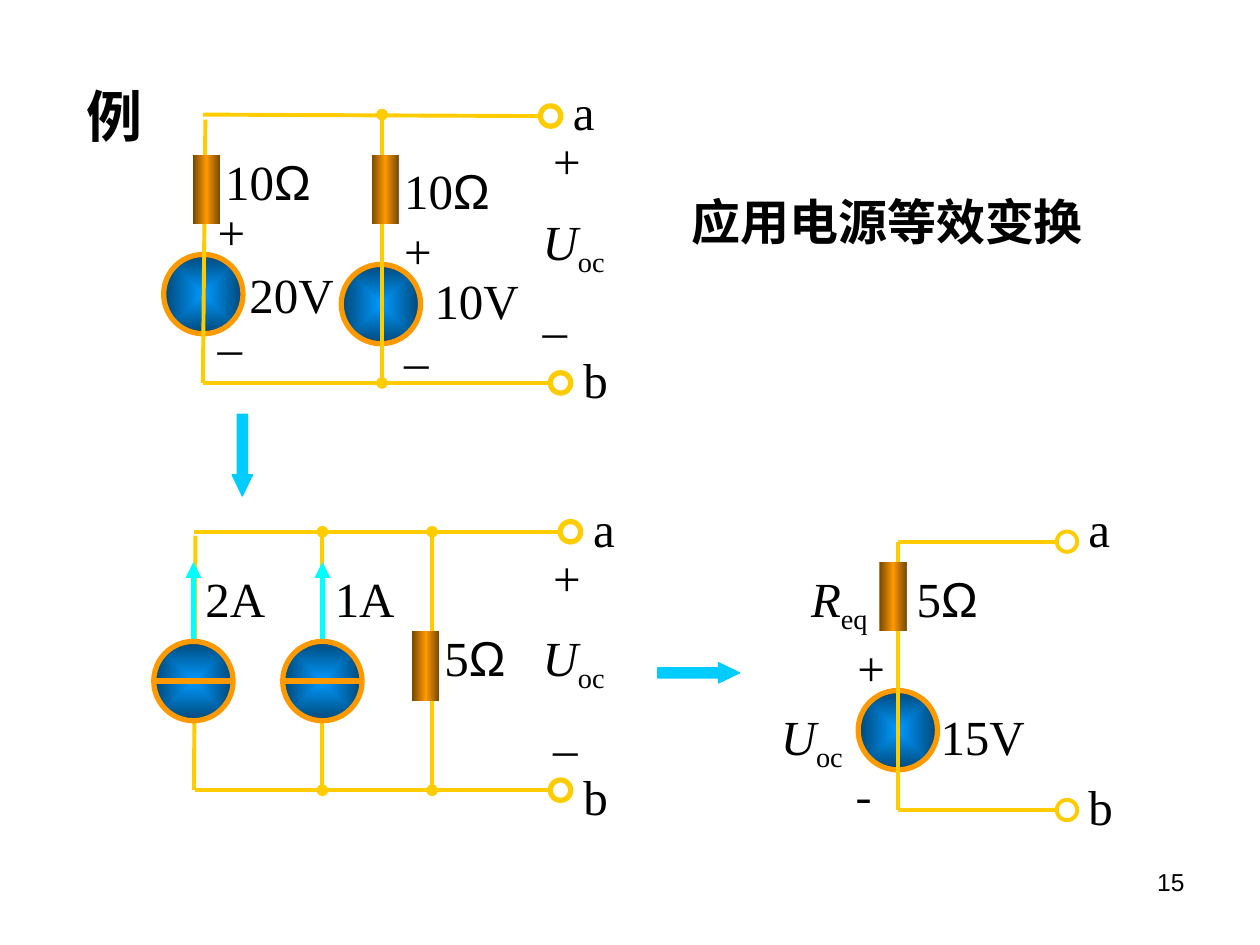
from lxml import etree
from pptx import Presentation
from pptx.dml.color import RGBColor
from pptx.enum.shapes import MSO_CONNECTOR, MSO_SHAPE
from pptx.enum.text import MSO_ANCHOR, MSO_AUTO_SIZE, PP_ALIGN
from pptx.oxml import parse_xml
from pptx.oxml.ns import qn
from pptx.util import Cm, Pt

STRAIGHT = MSO_CONNECTOR.STRAIGHT
OVAL, RECT, ARROW = MSO_SHAPE.OVAL, MSO_SHAPE.RECTANGLE, MSO_SHAPE.RIGHT_ARROW
LEFT, CENTER, RIGHT = PP_ALIGN.LEFT, PP_ALIGN.CENTER, PP_ALIGN.RIGHT
TOP, MIDDLE = MSO_ANCHOR.TOP, MSO_ANCHOR.MIDDLE
GROW, FIXED = MSO_AUTO_SIZE.SHAPE_TO_FIT_TEXT, MSO_AUTO_SIZE.NONE

BLACK = RGBColor(0x00, 0x00, 0x00)
WIRE = RGBColor(0xFF, 0xCC, 0x00)
ORANGE = RGBColor(0xFF, 0x99, 0x00)
BROWN = RGBColor(0x76, 0x47, 0x00)
BLUE = RGBColor(0x00, 0x99, 0xFF)
NAVY = RGBColor(0x00, 0x47, 0x76)
CYAN = RGBColor(0x00, 0xFF, 0xFF)
SKY = RGBColor(0x00, 0xCC, 0xFF)
SERIF, SANS, CJK = "Times New Roman", "Arial", "Noto Sans CJK SC"

SOURCE, TERMINAL = 1.6, 0.41            # diameters
RESISTOR_W, RESISTOR_H = 0.55, 1.4
ARROW_W, ARROW_H = 1.65, 0.41
LINEAR = '<a:lin ang="0" scaled="1"/>'
RADIAL = ('<a:path path="rect"><a:fillToRect l="50000" t="50000" '
          'r="50000" b="50000"/></a:path>')

# Circuits in cm. Sources and terminals by centre, resistors by left and top,
# wires as x1, y1, x2, y2; labels as text, left, top, width
# ("_" starts a subscript).
CIRCUITS = [
    {   # two voltage sources
        "voltage": [(4.1, 5.93), (7.68, 6.13)],
        "wires": [(4.09, 7.72, 11.1, 7.72), (4.09, 7.72, 4.14, 2.41),
                  (4.09, 2.31, 10.9, 2.34)],
        "branches": [(7.7, 2.31, 7.7, 7.72)],
        "terminals": [(11.3, 7.72), (11.1, 2.34)],
        "terminal_line": 3,
        "resistors": [(7.49, 3.12), (3.89, 3.12)],
        "labels": [("10Ω", 4.29, 2.92, 2.41), ("10Ω", 7.9, 3.12, 2.29),
                   ("+", 4.14, 3.94, 0.84), ("–", 4.14, 6.25, 1.07),
                   ("20V", 4.78, 5.21, 2.34), ("+", 10.9, 2.51, 0.84),
                   ("–", 10.69, 5.92, 1.07), ("U_oc", 10.69, 4.14, 2.21),
                   ("a", 11.3, 1.52, 1.27), ("b", 11.51, 6.93, 0.84),
                   ("+", 7.9, 4.32, 0.84), ("–", 7.9, 6.53, 1.07),
                   ("10V", 8.51, 5.33, 2.34)],
    },
    {   # two current sources
        "wires": [(3.94, 15.93, 11.1, 15.93), (3.91, 15.93, 3.94, 10.8),
                  (3.91, 10.72, 11.3, 10.72)],
        "branches": [(8.71, 10.72, 8.71, 15.93), (6.5, 10.72, 6.5, 15.93)],
        "terminals": [(11.3, 15.93), (11.5, 10.72)],
        "terminal_line": 3,
        "current": [(3.9, 13.73), (6.5, 13.73)],
        "resistors": [(8.31, 12.73)],
        "labels": [("1A", 6.5, 11.33, 2.21), ("5Ω", 8.71, 12.52, 2.29),
                   ("2A", 3.89, 11.33, 1.73), ("+", 10.9, 10.92, 0.84),
                   ("–", 10.9, 14.33, 1.07), ("U_oc", 10.69, 12.52, 2.21),
                   ("a", 11.71, 9.93, 1.27), ("b", 11.51, 15.32, 0.84)],
    },
    {   # equivalent source
        "voltage": [(18.1, 14.72)],
        "wires": [(18.1, 16.33, 21.31, 16.33), (18.1, 10.92, 18.1, 16.33),
                  (18.1, 10.92, 21.31, 10.92)],
        "terminals": [(21.51, 16.33), (21.51, 10.92)],
        "terminal_line": 2.25,
        "resistors": [(17.73, 11.33)],
        "labels": [("a", 21.69, 9.93, 1.98), ("b", 21.69, 15.52, 1.42),
                   ("R_eq", 16.1, 11.33, 1.98), ("U_oc", 15.49, 14.12, 2.54)],
        "centred": [("5Ω", 17.7, 11.33, 2.79), ("15V", 18.69, 14.12, 2.24),
                    ("+", 16.89, 12.73, 1.35), ("-", 16.99, 15.32, 0.84)],
    },
]
STEP_ARROWS = [(4.06, 8.97, 90), (13.26, 13.36, 0)]

deck = Presentation()
deck.slide_width, deck.slide_height = Cm(25.4), Cm(19.05)
page = deck.slides.add_slide(deck.slide_layouts[6])


def add_shape(kind, left, top, width, height, line=None, points=0):
    shape = page.shapes.add_shape(kind, Cm(left), Cm(top), Cm(width), Cm(height))
    shape.shadow.inherit = False
    shape.fill.background()
    if line is None:
        shape.line.fill.background()
    else:
        shape.line.color.rgb, shape.line.width = line, Pt(points)
    return shape


def add_circle(x, y, size, line, points):
    return add_shape(OVAL, x - size / 2, y - size / 2, size, size, line, points)


def fill_gradient(shape, stops, direction):
    marks = "".join(f'<a:gs pos="{place * 1000}"><a:srgbClr val="{color}"/></a:gs>'
                    for place, color in stops)
    gradient = parse_xml(
        '<a:gradFill xmlns:a="http://schemas.openxmlformats.org/drawingml/2006/main" '
        f'rotWithShape="1"><a:gsLst>{marks}</a:gsLst>{direction}</a:gradFill>')
    old = shape.element.spPr.find(qn("a:noFill"))
    shape.element.spPr.replace(old, gradient)


def add_source(x, y):
    circle = add_circle(x, y, SOURCE, ORANGE, 3)
    fill_gradient(circle, [(0, BLUE), (100, NAVY)], RADIAL)


def add_line(ends, color=WIRE, points=2.25, head=None, tail=None):
    line = page.shapes.add_connector(STRAIGHT, *[Cm(value) for value in ends])
    line.line.color.rgb, line.line.width = color, Pt(points)
    for tag, style in (("a:headEnd", head), ("a:tailEnd", tail)):
        if style:
            etree.SubElement(line.line._ln, qn(tag), type=style)
    etree.SubElement(line.element.spPr, qn("a:effectLst"))


def add_text(spans, left, top, width, height=1.45, align=LEFT, anchor=TOP,
             before=17.5, size=GROW):
    """Each span is (text, font attributes, baseline)."""
    box = page.shapes.add_textbox(Cm(left), Cm(top), Cm(width), Cm(height))
    frame = box.text_frame
    frame.word_wrap, frame.auto_size, frame.vertical_anchor = True, size, anchor
    para = frame.paragraphs[0]
    para.alignment, para.space_before = align, Pt(before)
    for text, look, baseline in spans:
        span = para.add_run()
        span.text = text
        span.font.color.rgb = BLACK
        for name, value in {"name": SERIF, "size": Pt(28), **look}.items():
            setattr(span.font, name, value)
        if baseline:
            span.font._element.set("baseline", str(baseline * 1000))
        if not text.isascii() and look.get("bold"):
            etree.SubElement(span.font._element, qn("a:ea"), typeface=CJK)


def add_label(text, left, top, width, **layout):
    main, _, sub = text.partition("_")
    if sub:
        spans = [(main, {"italic": True}, 0), (sub, {}, -25)]
        layout["height"] = 1.6
    else:
        fonts = {"Ω": SANS, "-": CJK}
        number = main.rstrip("Ω-")
        spans = [(part, {"name": fonts.get(part, SERIF)}, 0)
                 for part in (number, main[len(number):]) if part]
    add_text(spans, left, top, width, **layout)


# Circuits, drawn from back to front
for circuit in CIRCUITS:
    for x, y in circuit.get("voltage", []):
        add_source(x, y)
    for ends in circuit["wires"]:
        add_line(ends)
    for ends in circuit.get("branches", []):
        add_line(ends, head="oval", tail="oval")
    for x, y in circuit["terminals"]:
        add_circle(x, y, TERMINAL, WIRE, circuit["terminal_line"])
    for x, y in circuit.get("current", []):
        edge = SOURCE / 2
        add_line((x, y - edge, x, y - 3 * edge), CYAN, 3, tail="triangle")
        add_source(x, y)
        add_line((x - edge, y, x + edge, y), ORANGE, 3)
    for left, top in circuit["resistors"]:
        body = add_shape(RECT, left, top, RESISTOR_W, RESISTOR_H)
        fill_gradient(body, [(0, BROWN), (50, ORANGE), (100, BROWN)], LINEAR)
    for label in circuit["labels"]:
        add_label(*label)
    for label in circuit.get("centred", []):
        add_label(*label, align=CENTER, anchor=MIDDLE)

# Arrows between the steps
for left, top, turn in STEP_ARROWS:
    arrow = add_shape(ARROW, left, top, ARROW_W, ARROW_H, SKY, 0.75)
    arrow.fill.solid()
    arrow.fill.fore_color.rgb = SKY
    arrow.adjustments[0], arrow.adjustments[1] = 0.5, 1.04
    arrow.rotation = turn

# Headings and page number
add_text([("例", {"size": Pt(32), "bold": True}, 0)], 1.5, 1.52, 2.01, 1.63, before=20)
add_text([("应用电源等效变换", {"name": CJK, "bold": True}, 0)], 13.69, 3.73, 9.09)
add_text([("15", {"name": SANS, "size": Pt(14)}, 0)], 18.21, 17.35, 5.92, 1.32,
         align=RIGHT, before=0, size=FIXED)

deck.save("out.pptx")
